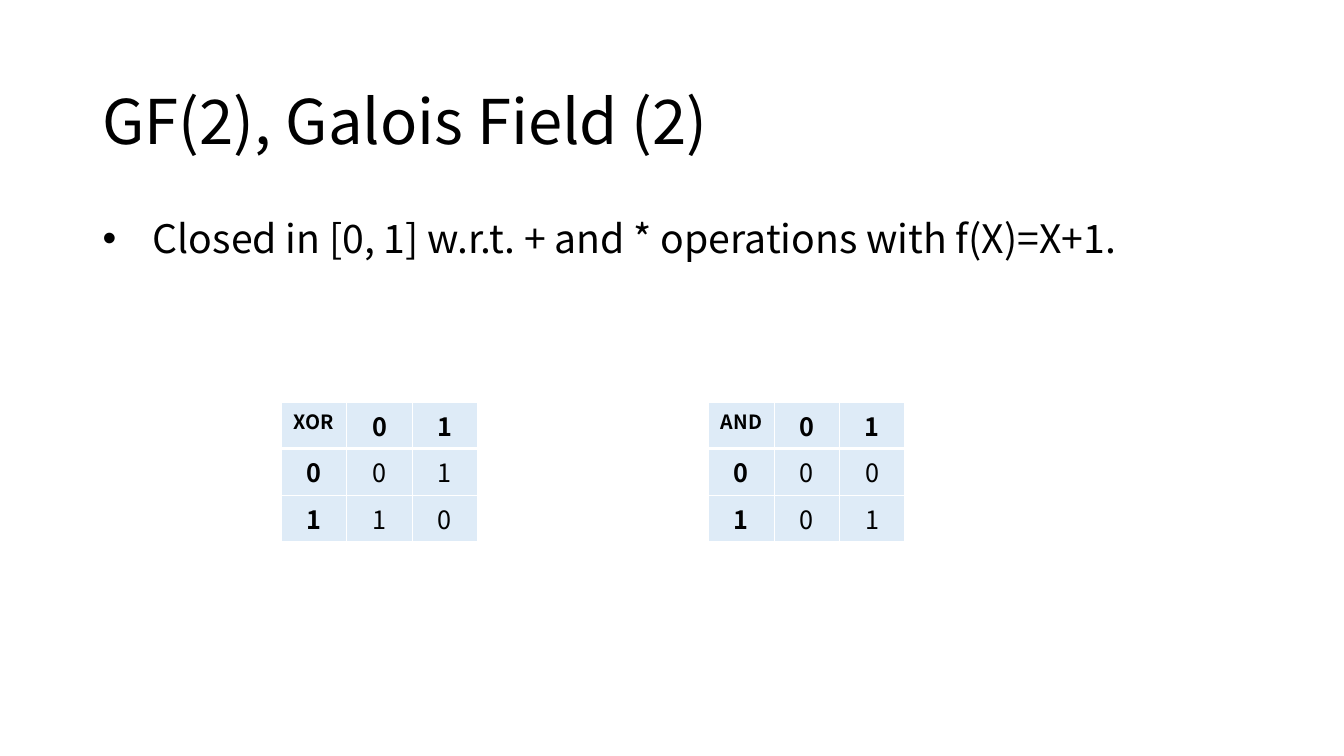
"""Build the GF(2) slide with its XOR and AND operation tables."""
from lxml.etree import SubElement
from pptx import Presentation
from pptx.dml.color import RGBColor
from pptx.enum.text import MSO_ANCHOR, MSO_AUTO_SIZE, PP_ALIGN
from pptx.oxml import parse_xml
from pptx.oxml.ns import nsdecls, qn
from pptx.util import Cm, Pt

TITLE = "GF(2), Galois Field (2)"
STATEMENT = "Closed in [0, 1] w.r.t. + and * operations with f(X)=X+1."
OPERATIONS = [
    [("XOR", "0", "1"), ("0", "0", "1"), ("1", "1", "0")],
    [("AND", "0", "1"), ("0", "0", "0"), ("1", "0", "1")],
]
COLORS = {"text": "000000", "cell": "DEEBF7", "border": "FFFFFF"}
FONT = "Noto Sans CJK KR"

TABLES_LEFT, TABLES_TOP, TABLES_STEP = 7.09, 10.13, 10.77
CELL_WIDTH, CELL_HEIGHT = 1.65, 1.03


def write(paragraph, text, size, bold=False):
    run = paragraph.add_run()
    run.text = text
    run.font.name = FONT
    run.font.size = Pt(size)
    run.font.bold = bold
    run.font.color.rgb = RGBColor.from_string(COLORS["text"])


def place(placeholder, left, top, width, height, anchor):
    placeholder.left, placeholder.top = Cm(left), Cm(top)
    placeholder.width, placeholder.height = Cm(width), Cm(height)
    frame = placeholder.text_frame
    frame.auto_size = MSO_AUTO_SIZE.NONE
    frame.vertical_anchor = anchor
    paragraph = frame.paragraphs[0]
    paragraph.alignment = PP_ALIGN.LEFT
    paragraph.space_before = Pt(0)
    return paragraph


def set_borders(cell, bottom_width):
    properties = cell._tc.get_or_add_tcPr()
    sides = {"L": 1, "R": 1, "T": 1, "B": bottom_width}
    for position, (side, width) in enumerate(sides.items()):
        properties.insert(position, parse_xml(
            f'<a:ln{side} {nsdecls("a")} w="{Pt(width)}"><a:solidFill>'
            f'<a:srgbClr val="{COLORS["border"]}"/></a:solidFill></a:ln{side}>'))


def add_operation(slide, values, left):
    count = len(values)
    table = slide.shapes.add_table(
        count, count, Cm(left), Cm(TABLES_TOP),
        Cm(CELL_WIDTH * count), Cm(CELL_HEIGHT * count)).table
    for r, row in enumerate(values):
        for c, value in enumerate(row):
            cell = table.cell(r, c)
            cell.fill.solid()
            cell.fill.fore_color.rgb = RGBColor.from_string(COLORS["cell"])
            set_borders(cell, 3 if r == 0 else 1)
            paragraph = cell.text_frame.paragraphs[0]
            paragraph.alignment = PP_ALIGN.CENTER
            write(paragraph, value, 14 if r == c == 0 else 18, r == 0 or c == 0)


def main():
    deck = Presentation()
    deck.slide_width, deck.slide_height = Cm(33.87), Cm(19.05)
    slide = deck.slides.add_slide(deck.slide_layouts[1])

    title = place(slide.shapes.title, 2.33, 2.1, 29.21, 2.1, MSO_ANCHOR.MIDDLE)
    title.line_spacing = 0.9
    write(title, TITLE, 44)

    statement = place(slide.placeholders[1], 2.33, 5.03, 28.75, 11.86, MSO_ANCHOR.TOP)
    statement.line_spacing = 1.2
    indents = statement._p.get_or_add_pPr()
    indents.set("marL", str(Cm(1.27)))
    indents.set("indent", str(-Cm(1.27)))
    SubElement(indents, qn("a:buFont"), typeface="Arial")
    SubElement(indents, qn("a:buChar"), char="•")
    write(statement, STATEMENT, 28)

    for index, values in enumerate(OPERATIONS):
        add_operation(slide, values, TABLES_LEFT + index * TABLES_STEP)
    deck.save("out.pptx")


if __name__ == "__main__":
    main()
